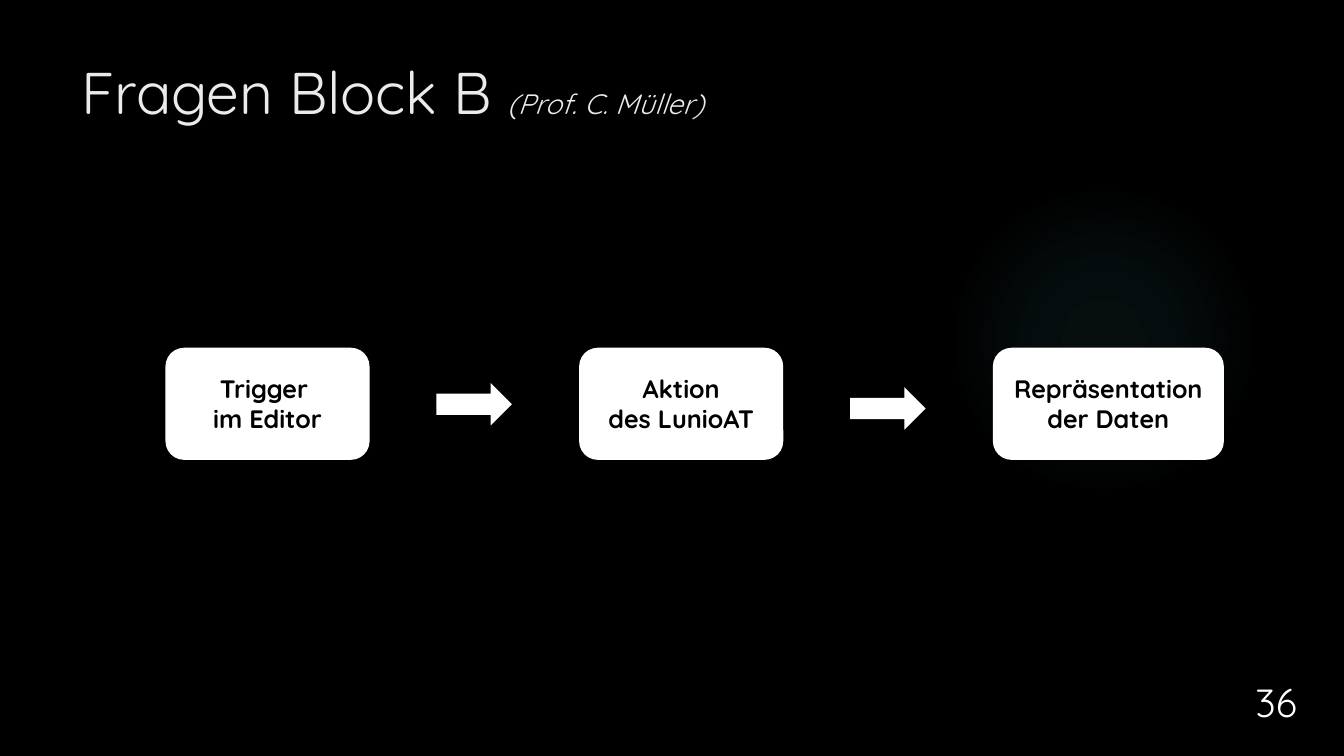
from dataclasses import dataclass

import lxml.etree
import pptx
import pptx.dml.color
import pptx.enum.shapes
import pptx.enum.text
import pptx.oxml
import pptx.oxml.ns
import pptx.util

SHAPE = pptx.enum.shapes.MSO_SHAPE
ALIGN = pptx.enum.text.PP_ALIGN
ANCHOR = pptx.enum.text.MSO_ANCHOR
COLUMNS, ROWS = 32, 18


@dataclass(frozen=True)
class Theme:
    font: str = "Quicksand"
    background: str = "000000"
    heading: str = "EBEBEB"
    light: str = "FFFFFF"
    dark: str = "000000"
    glow: str = "50B9C1"
    title_size: int = 42
    subtitle_size: int = 20
    step_size: int = 18
    number_size: int = 28


class FlowSlide:
    """Draws on one slide; every length is in grid columns and rows."""

    def __init__(self, deck, theme):
        self.theme = theme
        self.slide = deck.slides.add_slide(deck.slide_layouts[6])
        self.column = deck.slide_width / COLUMNS
        self.row = deck.slide_height / ROWS
        backdrop = self.slide.background.fill
        backdrop.solid()
        backdrop.fore_color.rgb = self.color(theme.background)

    def color(self, value):
        return pptx.dml.color.RGBColor.from_string(value)

    def place(self, left, top, width, height):
        return (round(left * self.column), round(top * self.row),
                round(width * self.column), round(height * self.row))

    def style(self, run, size, color, bold=False, italic=False):
        run.font.name = self.theme.font
        run.font.size = pptx.util.Pt(size)
        run.font.color.rgb = self.color(color)
        run.font.bold = bold
        run.font.italic = italic

    def shape(self, preset, *box):
        block = self.slide.shapes.add_shape(preset, *self.place(*box))
        block.shadow.inherit = False
        block.line.fill.background()
        block.fill.solid()
        block.fill.fore_color.rgb = self.color(self.theme.light)
        return block

    def text_box(self, anchor, *box):
        frame = self.slide.shapes.add_textbox(*self.place(*box)).text_frame
        frame.word_wrap = True
        frame.vertical_anchor = anchor
        return frame

    def glow(self, stops, *box):
        """Ellipse with a circular gradient; stops are (position, opacity) in percent."""
        properties = self.shape(SHAPE.OVAL, *box).fill._xPr
        marks = "".join(
            f'<a:gs pos="{position * 1000}"><a:srgbClr val="{self.theme.glow}">'
            f'<a:alpha val="{opacity * 1000}"/></a:srgbClr></a:gs>'
            for position, opacity in stops)
        gradient = pptx.oxml.parse_xml(
            f'<a:gradFill {pptx.oxml.ns.nsdecls("a")}><a:gsLst>{marks}</a:gsLst>'
            '<a:path path="circle"><a:fillToRect l="50000" t="50000" r="50000" b="50000"/>'
            '</a:path></a:gradFill>')
        solid = properties.find(pptx.oxml.ns.qn("a:solidFill"))
        properties.replace(solid, gradient)

    def title(self, heading, lecturer, *box):
        line = self.text_box(ANCHOR.TOP, *box).paragraphs[0]
        for words, size, italic in ((heading, self.theme.title_size, False),
                                    (lecturer, self.theme.subtitle_size, True)):
            run = line.add_run()
            run.text = words
            self.style(run, size, self.theme.heading, italic=italic)

    def step(self, label, *box):
        frame = self.shape(SHAPE.ROUNDED_RECTANGLE, *box).text_frame
        frame.word_wrap = True
        frame.vertical_anchor = ANCHOR.MIDDLE
        frame.text = label
        for line in frame.paragraphs:
            line.alignment = ALIGN.CENTER
            self.style(line.runs[0], self.theme.step_size, self.theme.dark, bold=True)

    def arrow(self, *box):
        self.shape(SHAPE.RIGHT_ARROW, *box)

    def page_number(self, number, *box):
        frame = self.text_box(ANCHOR.BOTTOM, *box)
        frame.text = str(number)
        line = frame.paragraphs[0]
        line.alignment = ALIGN.CENTER
        self.style(line.runs[0], self.theme.number_size, self.theme.light)


def main():
    deck = pptx.Presentation()
    deck.slide_width = pptx.util.Inches(40 / 3)
    deck.slide_height = pptx.util.Inches(7.5)

    page = FlowSlide(deck, Theme())
    page.glow([(0, 7), (36, 6), (69, 0)], 22.58, 4.39, 7.39, 7.39)
    page.title("Fragen Block B ", "(Prof. C. Müller)", 1.7, 1.2, 24.7, 3.67)

    first_step, pitch, arrow_offset = 3.94, 9.85, 6.45
    steps = [("Trigger \nim Editor", 4.86),
             ("Aktion\ndes LunioAT", 4.86),
             ("Repräsentation der Daten", 5.5)]
    for index, (label, width) in enumerate(steps):
        page.step(label, first_step + index * pitch, 8.28, width, 2.67)
    for index, top in enumerate((9.12, 9.22)):
        page.arrow(first_step + arrow_offset + index * pitch, top, 1.8, 1.01)

    page.page_number(36, 29.28, 15.38, 2.21, 2.02)
    deck.save("out.pptx")


if __name__ == "__main__":
    main()
